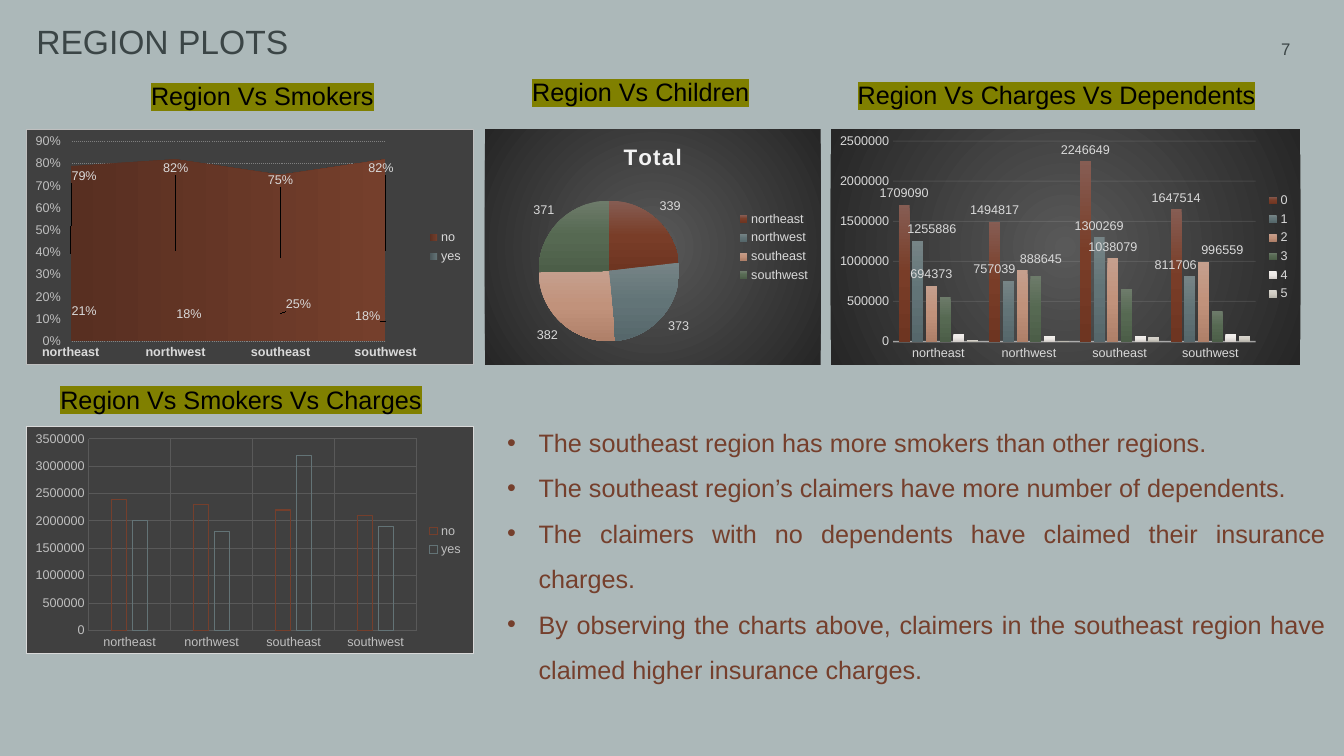
from lxml import etree
from pptx import Presentation
from pptx import util as u
from pptx.chart.data import CategoryChartData
from pptx.dml.color import RGBColor
from pptx.enum import chart as charts, dml, text
from pptx.oxml import parse_xml
from pptx.oxml.ns import nsdecls, qn

Pt = u.Pt
FONT = "Arial"
REGIONS = ["northeast", "northwest", "southeast", "southwest"]
# Rust, slate, peach, green, pearl and sand gradients
SHADES = [["865D53", "793D28", "6E3521"], ["768486", "627477", "56676B"],
          ["C59F8D", "C1927B", "AF8069"], ["6D7B6A", "566952", "4C5E48"],
          ["F2EFED", "EDE9E6", "D4CFCB"], ["D7D4CD", "D1CDC4", "BAB7AE"]]
COLUMN = charts.XL_CHART_TYPE.COLUMN_CLUSTERED
HEADINGS = [("Region Vs Smokers", 100.8, 54, 182), ("Region Vs Children", 373, 51.1, 182),
            ("Region Vs Charges Vs Dependents", 605.5, 53.3, 323),
            ("Region Vs Smokers Vs Charges", 36, 270.7, 480)]
FINDINGS = [
    "The southeast region has more smokers than other regions.",
    "The southeast region’s claimers have more number of dependents.",
    "The claimers with no dependents have claimed their insurance charges.",
    "By observing the charts above, claimers in the southeast region have "
    "claimed higher insurance charges."]

def style_font(font, size, color, bold=False):
    font.size, font.bold = Pt(size), bold
    font.color.rgb = RGBColor.from_string(color)
    font.name = FONT

def add_run(paragraph, words, size, color, highlight=None, bold=False):
    run = paragraph.add_run()
    run.text = words
    style_font(run.font, size, color, bold)
    if highlight:
        mark = parse_xml(f'<a:highlight {nsdecls("a")}><a:srgbClr val="{highlight}"/></a:highlight>')
        run.font._element.find(qn("a:solidFill")).addnext(mark)
    return run

def place(shape, *box):
    shape.left, shape.top, shape.width, shape.height = map(Pt, box)
    frame = shape.text_frame
    frame.word_wrap = True
    frame.auto_size = text.MSO_AUTO_SIZE.NONE
    frame.vertical_anchor = text.MSO_ANCHOR.TOP
    return frame

def add_label(slide, words, box, size, color, highlight=None):
    frame = place(slide.shapes.add_textbox(0, 0, 0, 0), *box)
    add_run(frame.paragraphs[0], words, size, color, highlight)
    return frame

def add_findings(frame):
    for index, finding in enumerate(FINDINGS):
        paragraph = frame.add_paragraph() if index else frame.paragraphs[0]
        paragraph.alignment = text.PP_ALIGN.JUSTIFY
        paragraph.line_spacing, paragraph.space_before = 1.5, Pt(0)
        properties = paragraph._p.get_or_add_pPr()
        properties.set("marL", str(Pt(22.5)))
        properties.set("indent", str(-Pt(22.5)))
        etree.SubElement(properties, qn("a:buFont")).set("typeface", FONT)
        etree.SubElement(properties, qn("a:buChar")).set("char", "•")
        add_run(paragraph, finding, 18, "753F2C")

# Chart formatting
def gradient_xml(colors, direction):
    step = 100000 // (len(colors) - 1)
    stops = "".join(f'<a:gs pos="{i * step}"><a:srgbClr val="{color}"/></a:gs>'
                    for i, color in enumerate(colors))
    return f'<a:gradFill {nsdecls("a")}><a:gsLst>{stops}</a:gsLst>{direction}</a:gradFill>'

def fill_gradient(chart_format, colors, angle=90):
    direction = f'<a:lin ang="{angle * 60000}" scaled="0"/>'
    chart_format.element.get_or_add_spPr().insert(0, parse_xml(gradient_xml(colors, direction)))

def style_line(chart_format, color, width=0.75, alpha=100):
    chart_format.line.color.rgb = RGBColor.from_string(color)
    chart_format.line.width = Pt(width)
    shade = chart_format.element.get_or_add_spPr().find(".//" + qn("a:ln")).find(".//" + qn("a:srgbClr"))
    etree.SubElement(shade, qn("a:alpha")).set("val", str(alpha * 1000))

def set_background(chart, border):
    if border:
        fill = '<a:solidFill><a:srgbClr val="404040"/></a:solidFill>'
        line = f'<a:ln w="9525"><a:solidFill><a:srgbClr val="{border}"/></a:solidFill></a:ln>'
    else:
        center = '<a:path path="circle"><a:fillToRect l="50000" t="50000" r="50000" b="50000"/></a:path>'
        fill, line = gradient_xml(["595959", "262626"], center), "<a:ln><a:noFill/></a:ln>"
    background = parse_xml(f'<c:spPr {nsdecls("c", "a")}>{fill}{line}</c:spPr>')
    chart._chartSpace.find(qn("c:txPr")).addprevious(background)

def add_chart(slide, kind, box, series, text_color="D9D9D9", border=None):
    data = CategoryChartData()
    data.categories = REGIONS
    for name, values in series:
        data.add_series(name, values)
    chart = slide.shapes.add_chart(kind, *map(Pt, box), data).chart
    style_font(chart.font, 10, "000000")
    set_background(chart, border)
    chart.has_title, chart.has_legend = False, True
    chart.legend.position = charts.XL_LEGEND_POSITION.RIGHT
    chart.legend.include_in_layout = False
    style_font(chart.legend.font, 9, text_color)
    return chart

def style_axes(chart, value_color, category_color, top, unit, number_format="0", bold=False):
    chart.plots[0].vary_by_categories = False
    values, categories = chart.value_axis, chart.category_axis
    for axis, color in ((values, value_color), (categories, category_color)):
        style_font(axis.tick_labels.font, 9, color, bold and axis is categories)
        axis.major_tick_mark = axis.minor_tick_mark = charts.XL_TICK_MARK.NONE
        axis.format.line.fill.background()
    values.minimum_scale, values.maximum_scale, values.major_unit = 0, top, unit
    values.tick_labels.number_format = number_format
    values.tick_labels.number_format_is_linked = False

def show_values(series, number_format="0", outside=True, shifts=None):
    """Label every point; shifts maps a point to its label's move in chart fractions."""
    labels = series.data_labels
    labels.show_value = True
    labels.number_format, labels.number_format_is_linked = number_format, False
    style_font(labels.font, 9, "D9D9D9")
    if outside:
        labels.position = charts.XL_LABEL_POSITION.OUTSIDE_END
    for index, (x, y) in (shifts or {}).items():
        label = series.points[index].data_label
        style_font(label.font, 9, "D9D9D9")
        if outside:
            label.position = charts.XL_LABEL_POSITION.OUTSIDE_END
        number = labels._element.xpath(f'c:dLbl/c:idx[@val="{index}"]')[0]
        number.addnext(parse_xml(f'<c:numFmt {nsdecls("c")} formatCode="{number_format}" sourceLinked="0"/>'))
        number.addnext(parse_xml(f'<c:layout {nsdecls("c")}><c:manualLayout><c:x val="{x}"/>'
                                 f'<c:y val="{y}"/></c:manualLayout></c:layout>'))

# The four charts
def add_smokers_chart(slide):
    chart = add_chart(slide, charts.XL_CHART_TYPE.AREA, (18.7, 92.2, 319.7, 168.5),
                      [("no", (0.79, 0.82, 0.75, 0.82)), ("yes", (0.21, 0.18, 0.25, 0.18))], border="BFBFBF")
    style_axes(chart, "BFBFBF", "D9D9D9", 0.9, 0.1, "0%", bold=True)
    chart.value_axis.major_tick_mark = charts.XL_TICK_MARK.OUTSIDE
    style_line(chart.category_axis.format, "BFBFBF", alpha=10)
    grid = chart.value_axis.major_gridlines.format
    style_line(grid, "7F7F7F")
    grid.line.dash_style = dml.MSO_LINE.ROUND_DOT
    looks = [(["582F21", "753F2C"], [(0.03, -0.33), (0, -0.35), (0, -0.33), (-0.01, -0.35)]),
             (["4A5659", "637376"], [(0.03, -0.03), (0.03, -0.03), (0.04, -0.04), (-0.04, -0.02)])]
    for series, (colors, shifts) in zip(chart.plots[0].series, looks):
        fill_gradient(series.format, colors, 0)
        show_values(series, "0%", False, dict(enumerate(shifts)))

def add_children_chart(slide):
    chart = add_chart(slide, charts.XL_CHART_TYPE.PIE, (346.3, 92.2, 239.8, 168.5),
                      [("Total", (339, 373, 382, 371))])
    run = add_run(chart.chart_title.text_frame.paragraphs[0], "Total", 16, "F2F2F2", bold=True)
    run.font._element.set("spc", "100")
    series = chart.plots[0].series[0]
    for index, colors in enumerate(SHADES[:4]):
        fill_gradient(series.points[index].format, colors)
    show_values(series)

def add_dependents_chart(slide):
    claims = [(1709090, 1494817, 2246649, 1647514), (1255886, 757039, 1300269, 811706),
              (694373, 888645, 1038079, 996559), (560000, 820000, 650000, 380000),
              (100000, 70000, 70000, 100000), (20000, 10000, 60000, 70000)]
    chart = add_chart(slide, COLUMN, (593.3, 92.2, 335.5, 168.5),
                      [(str(count), values) for count, values in enumerate(claims)])
    style_axes(chart, "D9D9D9", "D9D9D9", 2500000, 500000)
    style_line(chart.category_axis.format, "F2F2F2", 1, 54)
    style_line(chart.value_axis.major_gridlines.format, "F2F2F2", alpha=10)
    plot = chart.plots[0]
    plot.gap_width, plot.overlap = 100, -24
    for series, colors in zip(plot.series, SHADES):
        fill_gradient(series.format, colors)
    shifts = [{}, {0: (0.03, 0), 1: (-0.03, 0), 3: (-0.03, 0)}, {1: (0.04, 0), 3: (0.04, 0)}]
    for series, moves in zip(plot.series, shifts):
        show_values(series, shifts=moves)

def add_charges_chart(slide):
    chart = add_chart(slide, COLUMN, (18.7, 304.6, 319.7, 162.7),
                      [("no", (2400000, 2300000, 2200000, 2100000)),
                       ("yes", (2000000, 1800000, 3200000, 1900000))], "BFBFBF", "D9D9D9")
    style_axes(chart, "BFBFBF", "BFBFBF", 3500000, 500000)
    for axis in (chart.value_axis, chart.category_axis):
        style_line(axis.major_gridlines.format, "595959")
    plot = chart.plots[0]
    plot.gap_width, plot.overlap = 315, -40
    for series, color in zip(plot.series, ("753F2C", "637376")):
        series.format.fill.background()
        style_line(series.format, color)

def main():
    presentation = Presentation()
    presentation.slide_width, presentation.slide_height = Pt(960), Pt(540)
    slide = presentation.slides.add_slide(presentation.slide_layouts[1])
    slide.background.fill.solid()
    slide.background.fill.fore_color.rgb = RGBColor.from_string("ACB8B9")
    # Title and slide number
    title = place(slide.shapes.title, 18.7, 16.6, 851, 45.4).paragraphs[0]
    title.alignment, title.line_spacing = text.PP_ALIGN.LEFT, 0.8
    add_run(title, "REGION PLOTS", 24, "3B4546")
    number = add_label(slide, "7", (797, 23.8, 131.8, 21.6), 12, "3B4546")
    number.vertical_anchor = text.MSO_ANCHOR.MIDDLE
    number.paragraphs[0].alignment = text.PP_ALIGN.RIGHT
    # Charts, findings and headings
    for add in (add_smokers_chart, add_dependents_chart, add_charges_chart, add_children_chart):
        add(slide)
    add_findings(place(slide.placeholders[1], 355, 290.9, 599, 230))
    for words, left, top, width in HEADINGS:
        add_label(slide, words, (left, top, width, 28.8), 18, "000000", "808000")
    presentation.save("out.pptx")

if __name__ == "__main__":
    main()
